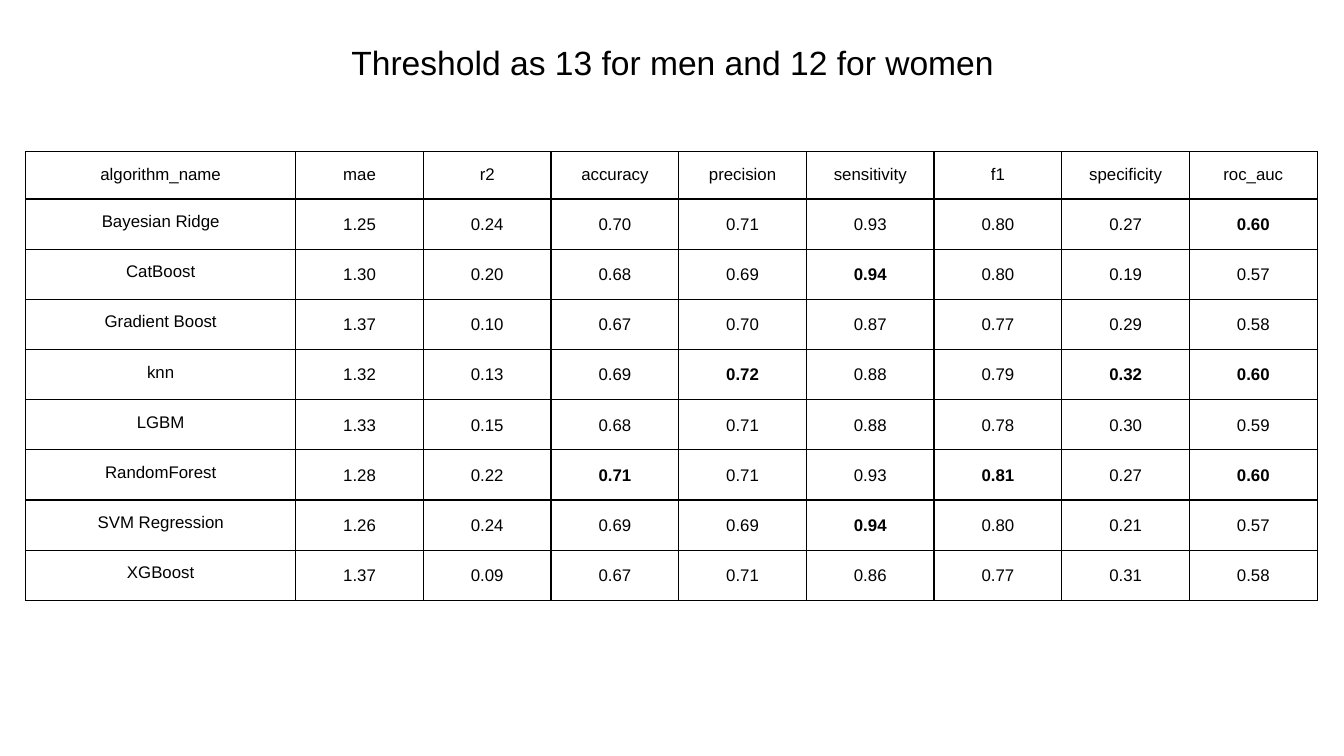
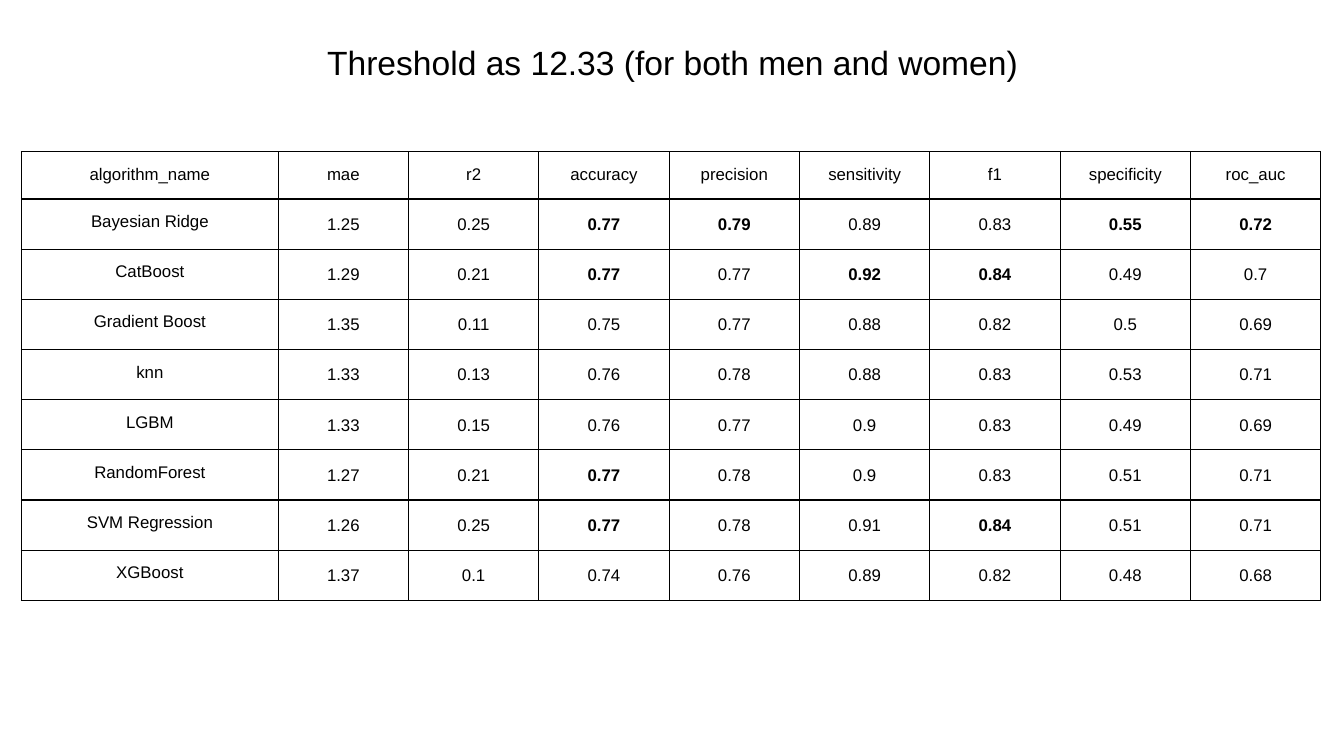
from dataclasses import dataclass

from lxml.etree import SubElement
from pptx import Presentation
from pptx.dml.color import RGBColor
from pptx.enum.text import MSO_ANCHOR, MSO_AUTO_SIZE, PP_ALIGN
from pptx.oxml.ns import qn
from pptx.util import Inches, Pt


@dataclass(frozen=True)
class Theme:
    font: str = "Arial"
    ink: str = "000000"
    paper: str = "FFFFFF"
    title_size: float = 18
    cell_size: float = 9
    border: float = 0.75
    inset: float = 0.1
    number_spacing: float = 1.15


HEADINGS = ["algorithm_name", "mae", "r2", "accuracy", "precision",
            "sensitivity", "f1", "specificity", "roc_auc"]

# A leading * marks a bold value.
SEPARATE_THRESHOLDS = {
    "Bayesian Ridge": "1.25 0.24 0.70 0.71 0.93 0.80 0.27 *0.60",
    "CatBoost": "1.30 0.20 0.68 0.69 *0.94 0.80 0.19 0.57",
    "Gradient Boost": "1.37 0.10 0.67 0.70 0.87 0.77 0.29 0.58",
    "knn": "1.32 0.13 0.69 *0.72 0.88 0.79 *0.32 *0.60",
    "LGBM": "1.33 0.15 0.68 0.71 0.88 0.78 0.30 0.59",
    "RandomForest": "1.28 0.22 *0.71 0.71 0.93 *0.81 0.27 *0.60",
    "SVM Regression": "1.26 0.24 0.69 0.69 *0.94 0.80 0.21 0.57",
    "XGBoost": "1.37 0.09 0.67 0.71 0.86 0.77 0.31 0.58",
}

SHARED_THRESHOLD = {
    "Bayesian Ridge": "1.25 0.25 *0.77 *0.79 0.89 0.83 *0.55 *0.72",
    "CatBoost": "1.29 0.21 *0.77 0.77 *0.92 *0.84 0.49 0.7",
    "Gradient Boost": "1.35 0.11 0.75 0.77 0.88 0.82 0.5 0.69",
    "knn": "1.33 0.13 0.76 0.78 0.88 0.83 0.53 0.71",
    "LGBM": "1.33 0.15 0.76 0.77 0.9 0.83 0.49 0.69",
    "RandomForest": "1.27 0.21 *0.77 0.78 0.9 0.83 0.51 0.71",
    "SVM Regression": "1.26 0.25 *0.77 0.78 0.91 *0.84 0.51 0.71",
    "XGBoost": "1.37 0.1 0.74 0.76 0.89 0.82 0.48 0.68",
}


class Deck:
    def __init__(self, theme):
        self.theme = theme
        self.presentation = Presentation()
        self.presentation.slide_width = Inches(10)
        self.presentation.slide_height = Inches(10) * 9 // 16
        self.slide = None

    def add_slide(self):
        blank = self.presentation.slide_layouts[6]
        self.slide = self.presentation.slides.add_slide(blank)
        background = self.slide.background.fill
        background.solid()
        background.fore_color.rgb = RGBColor.from_string(self.theme.paper)

    def add_text(self, paragraph, text, size, bold=False):
        paragraph.alignment = PP_ALIGN.CENTER
        run = paragraph.add_run()
        run.text = text
        run.font.name = self.theme.font
        run.font.size = Pt(size)
        run.font.bold = bold
        run.font.color.rgb = RGBColor.from_string(self.theme.ink)

    def pad(self, holder):
        """Give a text frame or a cell the same inset on all sides."""
        inset = Inches(self.theme.inset)
        holder.margin_left = holder.margin_right = inset
        holder.margin_top = holder.margin_bottom = inset

    def add_title(self, text):
        box = self.slide.shapes.add_textbox(
            Inches(0.16), Inches(0.21), Inches(9.69), Inches(0.5))
        frame = box.text_frame
        frame.word_wrap = True
        frame.auto_size = MSO_AUTO_SIZE.SHAPE_TO_FIT_TEXT
        self.pad(frame)
        self.add_text(frame.paragraphs[0], text, self.theme.title_size)

    def draw_borders(self, cell):
        properties = cell._tc.get_or_add_tcPr()
        for side in ("lnL", "lnR", "lnT", "lnB"):
            line = SubElement(properties, qn(f"a:{side}"),
                              w=str(Pt(self.theme.border)))
            fill = SubElement(line, qn("a:solidFill"))
            SubElement(fill, qn("a:srgbClr"), val=self.theme.ink)

    def fill_cell(self, cell, text, spacing=None):
        self.pad(cell)
        cell.vertical_anchor = MSO_ANCHOR.TOP
        self.draw_borders(cell)
        cell.fill.background()
        paragraph = cell.text_frame.paragraphs[0]
        if spacing:
            paragraph.line_spacing = spacing
        self.add_text(paragraph, text.lstrip("*"), self.theme.cell_size,
                      bold=text.startswith("*"))

    def add_scores(self, scores, left, name_width, score_width):
        rows = [HEADINGS] + [[name, *values.split()]
                             for name, values in scores.items()]
        side = Inches(3.28)
        holder = self.slide.shapes.add_table(
            len(rows), len(HEADINGS), Inches(left), Inches(1.13), side, side)
        table = holder.table
        table.first_row = table.horz_banding = False
        for index, column in enumerate(table.columns):
            column.width = Inches(score_width if index else name_width)
        for row in table.rows:
            row.height = Inches(0.2)  # rows grow to fit their text
        holder.width = holder.height = side
        for r, texts in enumerate(rows):
            for c, text in enumerate(texts):
                is_number = r > 0 and c > 0
                self.fill_cell(table.cell(r, c), text,
                               self.theme.number_spacing if is_number else None)


def main():
    deck = Deck(Theme())

    deck.add_slide()
    deck.add_title("Threshold as 13 for men and 12 for women")
    deck.add_scores(SEPARATE_THRESHOLDS, 0.19, 2.01, 0.95)

    deck.add_slide()
    deck.add_scores(SHARED_THRESHOLD, 0.16, 1.91, 0.97)
    deck.add_title("Threshold as 12.33 (for both men and women)")

    deck.presentation.save("out.pptx")


if __name__ == "__main__":
    main()
